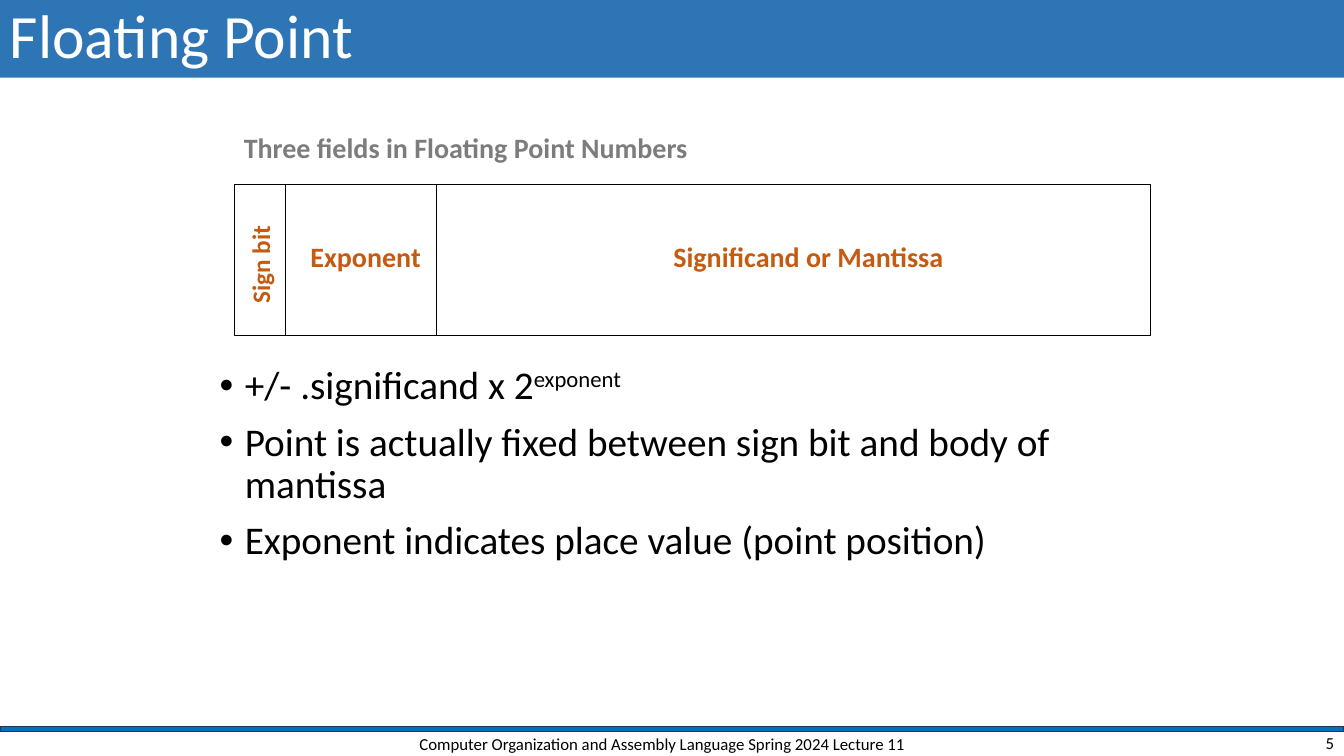
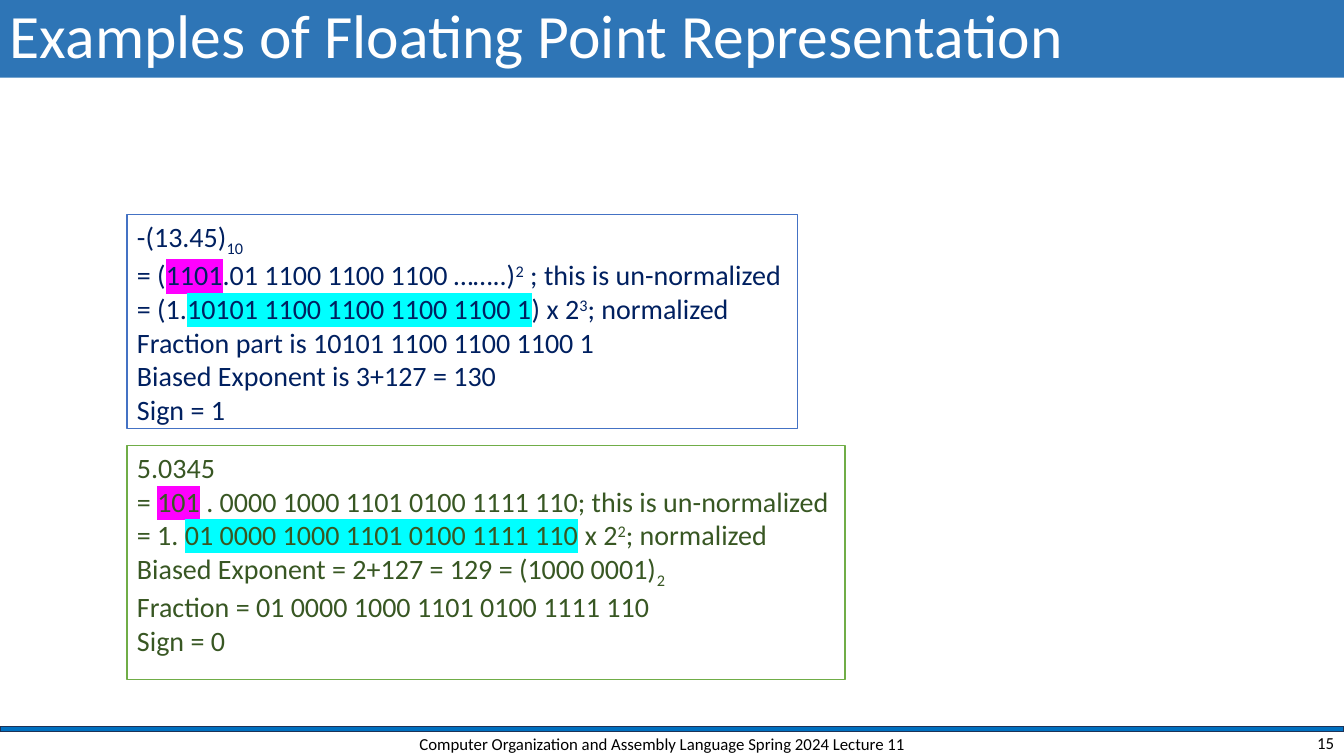
"""Builds two lecture slides on floating point numbers."""
from lxml import etree
from pptx import Presentation
from pptx.dml.color import RGBColor
from pptx.enum.shapes import MSO_SHAPE
from pptx.enum.text import MSO_ANCHOR, MSO_AUTO_SIZE, PP_ALIGN
from pptx.oxml.ns import qn
from pptx.util import Pt

PX = 9144
WIDE, HIGH = 1333, 750
RECT = MSO_SHAPE.RECTANGLE
TOP, MID = MSO_ANCHOR.TOP, MSO_ANCHOR.MIDDLE
LEFT, CENTER, RIGHT = PP_ALIGN.LEFT, PP_ALIGN.CENTER, PP_ALIGN.RIGHT
GROW, FIXED = MSO_AUTO_SIZE.SHAPE_TO_FIT_TEXT, MSO_AUTO_SIZE.NONE

FACE = "Calibri"
HEX = {
    "white": "FFFFFF", "black": "000000", "band": "2E75B6",
    "rule": "0070C0", "edge": "1E3256", "rust": "C55A11",
    "gray": "7C7C7C", "blue": "4472C4", "navy": "002060",
    "green": "70AD47", "moss": "385723", "pink": "FF00FF", "cyan": "00FFFF",
}
SHIFT = {"sup": "30000", "sub": "-25000"}

TITLE = {"size": 44, "color": "white", "anchor": MID, "lead": 0.9}
FOOT = {"size": 12, "color": "black", "anchor": MID}
BODY = {"size": 28, "color": "black", "lead": 0.9, "gap": 10, "bullet": "•"}
LABEL = {"size": 20, "color": "rust", "bold": True, "wrap": False, "fit": GROW}
SIGN = {**LABEL, "size": 18}
HEAD = {**LABEL, "color": "gray"}
SUM = {"size": 20, "wrap": False, "fit": GROW}

COURSE = "Computer Organization and Assembly Language Spring 2024 Lecture 11"
FIELDS = [50, 150, 708]
LABELS = [
    ("Sign bit", (209, 242, 98, 40), SIGN, 270),
    ("Exponent", (298, 233, 131, 44), LABEL, 0),
    ("Significand or Mantissa", (658, 233, 291, 44), LABEL, 0),
    ("Three fields in Floating Point Numbers", (232, 125, 464, 44), HEAD, 0),
]
POINTS = [
    ["+/- .significand x 2", ("exponent", "sup")],
    ["Point is actually fixed between sign bit and body of mantissa"],
    ["Exponent indicates place value (point position)"],
]
SUMS = [
    ((126, 213, 665, 212), "blue", "navy", [
        ["-(13.45)", ("10", "sub")],
        ["= (", ("1101", "pink"), ".01 1100 1100 1100 ……..)", ("2", "sup"),
         " ; this is un-normalized"],
        ["= (1.", ("10101 1100 1100 1100 1100 1", "cyan"), ") x 2",
         ("3", "sup"), "; normalized"],
        ["Fraction part is 10101 1100 1100 1100 1"],
        ["Biased Exponent is 3+127 = 130"],
        ["Sign = 1"],
    ]),
    ((126, 442, 712, 232), "green", "moss", [
        ["5.0345"],
        ["= ", ("101", "pink"),
         " . 0000 1000 1101 0100 1111 110; this is un-normalized"],
        ["= 1. ", ("01 0000 1000 1101 0100 1111 110", "cyan"), " x 2",
         ("2", "sup"), "; normalized"],
        ["Biased Exponent = 2+127 = 129 = (1000 0001)", ("2", "sub")],
        ["Fraction = 01 0000 1000 1101 0100 1111 110"],
        ["Sign = 0"],
    ]),
]


def rgb(name):
    return RGBColor.from_string(HEX[name])


def emu(box):
    return [n * PX for n in box]


def add_run(para, part, look):
    text, mark = (part, None) if isinstance(part, str) else part
    run = para.add_run()
    run.text = text
    font = run.font
    font.color.rgb = rgb(look["color"])
    props = font.color.rgb and run._r.get_or_add_rPr()
    if mark in SHIFT:
        props.set("baseline", SHIFT[mark])
    elif mark:
        light = etree.SubElement(props, qn("a:highlight"))
        etree.SubElement(light, qn("a:srgbClr"), val=HEX[mark])
    values = {"name": FACE, "size": Pt(look["size"]),
              "bold": look.get("bold", False)}
    for key, value in values.items():
        setattr(font, key, value)


def add_bullet(para, sign):
    props = para._p.get_or_add_pPr()
    props.set("marL", str(25 * PX))
    props.set("indent", str(-25 * PX))
    etree.SubElement(props, qn("a:buFont"), typeface="Arial")
    etree.SubElement(props, qn("a:buChar"), char=sign)


def write(shape, lines, look, align=LEFT):
    frame = shape.text_frame
    values = {"word_wrap": look.get("wrap", True),
              "auto_size": look.get("fit", FIXED),
              "vertical_anchor": look.get("anchor", TOP)}
    for key, value in values.items():
        setattr(frame, key, value)
    for i, line in enumerate(lines):
        para = frame.add_paragraph() if i else frame.paragraphs[0]
        if "bullet" in look:
            add_bullet(para, look["bullet"])
        form = {"alignment": align, "line_spacing": look.get("lead"),
                "space_before": Pt(look.get("gap", 0) if i else 0)}
        for key, value in form.items():
            setattr(para, key, value)
        for part in line:
            add_run(para, part, look)


def add_text(slide, box, lines, look, align=LEFT):
    shape = slide.shapes.add_textbox(*emu(box))
    write(shape, lines, look, align)
    return shape


def add_rect(slide, box, fill=None, line=None, width=1):
    shape = slide.shapes.add_shape(RECT, *emu(box))
    shape.shadow.inherit = False
    if fill:
        shape.fill.solid()
        shape.fill.fore_color.rgb = rgb(fill)
    else:
        shape.fill.background()
    if line:
        shape.line.color.rgb = rgb(line)
        shape.line.width = Pt(width)
    else:
        shape.line.fill.background()
    return shape


def add_slide(deck, title, page):
    slide = deck.slides.add_slide(deck.slide_layouts[6])
    add_rect(slide, (0, 721, WIDE, 5), "rule", "edge")
    write(add_rect(slide, (0, 0, WIDE, 77), "band"), [[title]], TITLE)
    add_text(slide, (392, 724, 530, 28), [[COURSE]], FOOT, CENTER)
    add_text(slide, (1033, 724, 300, 25), [[page]], FOOT, RIGHT)
    return slide


def add_fields(deck):
    slide = add_slide(deck, "Floating Point", "5")
    add_text(slide, (208, 358, 903, 367), POINTS, BODY)
    for i, width in enumerate(FIELDS):
        left = 233 + sum(FIELDS[:i])
        add_rect(slide, (left, 183, width, 150), None, "black", 0.75)
    for text, box, look, turn in LABELS:
        add_text(slide, box, [[text]], look).rotation = turn


def add_sums(deck):
    slide = add_slide(deck, "Examples of Floating Point Representation", "15")
    for box, line, color, lines in SUMS:
        shape = add_rect(slide, box, "white", line)
        write(shape, lines, {**SUM, "color": color})


def main():
    deck = Presentation()
    deck.slide_width, deck.slide_height = emu((WIDE, HIGH))
    add_fields(deck)
    add_sums(deck)
    deck.save("out.pptx")


if __name__ == "__main__":
    main()
